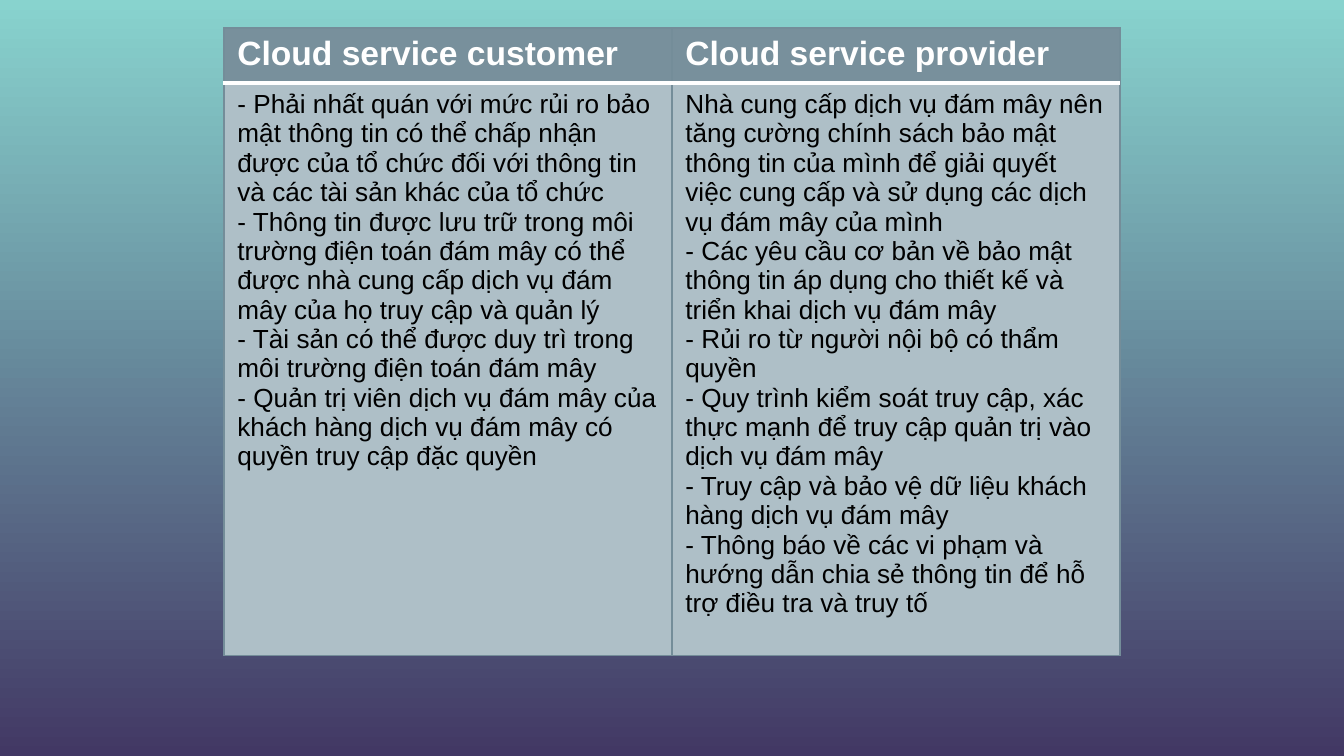
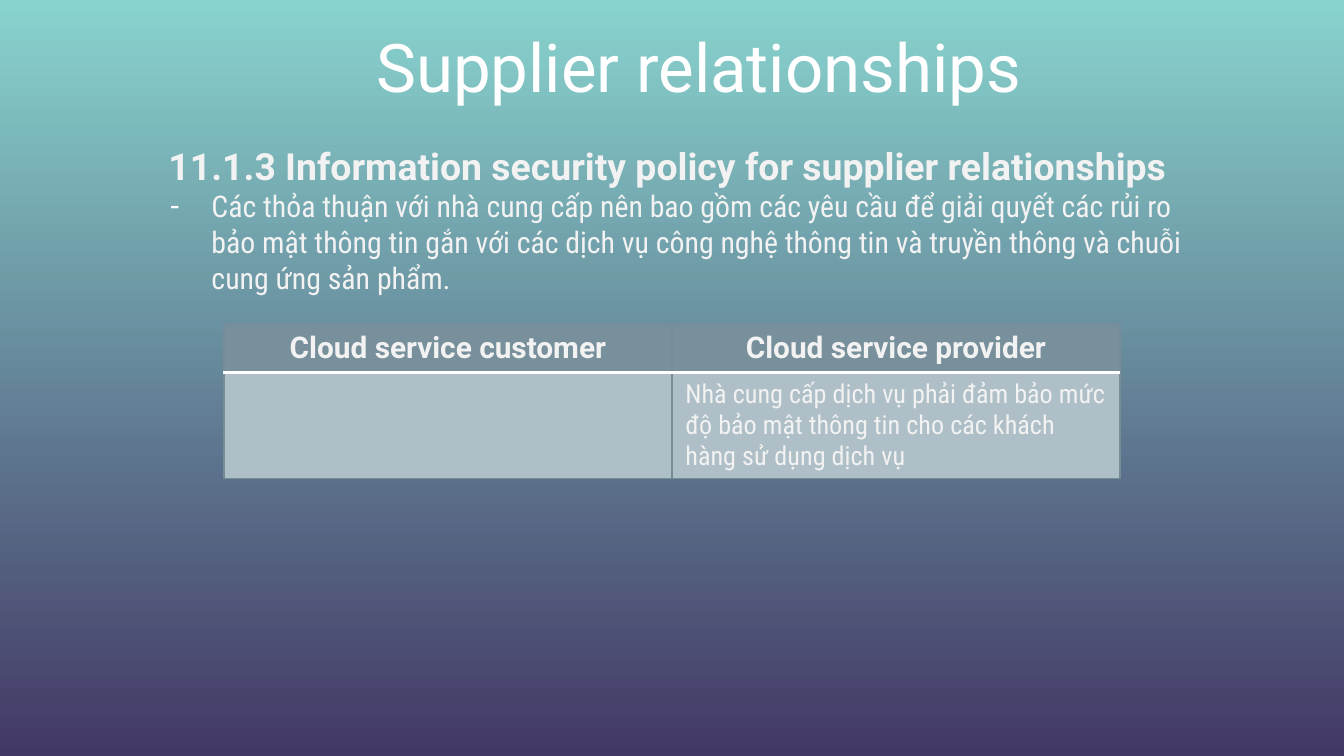
from lxml import etree
from pptx import Presentation
from pptx.dml.color import RGBColor
from pptx.enum.text import MSO_ANCHOR, MSO_AUTO_SIZE, PP_ALIGN
from pptx.oxml.ns import qn
from pptx.util import Inches, Pt

LEFT, CENTER = PP_ALIGN.LEFT, PP_ALIGN.CENTER
MIDDLE = MSO_ANCHOR.MIDDLE
NO_FIT = MSO_AUTO_SIZE.NONE
TITLE_LAYOUT, BLANK_LAYOUT = 0, 6
GRID_COLUMNS, GRID_ROWS = 12, 27
COLORS = {
    "sky": "88D3CE",
    "dusk": "423864",
    "white": "FFFFFF",
    "pale": "F2F2F2",
    "black": "000000",
    "header": "78909C",
    "cell": "AEBFC7",
    "border": "748D99",
}
HEADINGS = ["Cloud service customer", "Cloud service provider"]
CUSTOMER_POLICY = [
    "- Phải nhất quán với mức rủi ro bảo mật thông tin có thể chấp nhận được của tổ chức "
    "đối với thông tin và các tài sản khác của tổ chức",
    "- Thông tin được lưu trữ trong môi trường điện toán đám mây có thể được nhà cung cấp "
    "dịch vụ đám mây của họ truy cập và quản lý",
    "- Tài sản có thể được duy trì trong môi trường điện toán đám mây",
    "- Quản trị viên dịch vụ đám mây của khách hàng dịch vụ đám mây có quyền truy cập đặc quyền",
]
PROVIDER_POLICY = [
    "Nhà cung cấp dịch vụ đám mây nên tăng cường chính sách bảo mật thông tin của mình để "
    "giải quyết việc cung cấp và sử dụng các dịch vụ đám mây của mình",
    "- Các yêu cầu cơ bản về bảo mật thông tin áp dụng cho thiết kế và triển khai dịch vụ đám mây",
    "- Rủi ro từ người nội bộ có thẩm quyền",
    "- Quy trình kiểm soát truy cập, xác thực mạnh để truy cập quản trị vào dịch vụ đám mây",
    "- Truy cập và bảo vệ dữ liệu khách hàng dịch vụ đám mây",
    "- Thông báo về các vi phạm và hướng dẫn chia sẻ thông tin để hỗ trợ điều tra và truy tố",
]
SUPPLIER_AGREEMENTS = (
    "Các thỏa thuận với nhà cung cấp nên bao gồm các yêu cầu để giải quyết các rủi ro bảo mật "
    "thông tin gắn với các dịch vụ công nghệ thông tin và truyền thông và chuỗi cung ứng sản phẩm."
)
PROVIDER_DUTY = (
    "Nhà cung cấp dịch vụ phải đảm bảo mức độ bảo mật thông tin cho các khách hàng sử dụng dịch vụ"
)


def color(name):
    return RGBColor.from_string(COLORS[name])


def write(para, text, font, size, ink, bold=False, align=LEFT, margin=0, indent=0, bullet=None):
    """Fill one paragraph; margin and indent are in inches."""
    props = para._p.get_or_add_pPr()
    props.set("marL", str(Inches(margin)))
    props.set("indent", str(Inches(indent)))
    para.alignment = align
    para.space_before = para.space_after = Pt(0)
    if bullet:
        tint = etree.SubElement(props, qn("a:buClr"))
        etree.SubElement(tint, qn("a:srgbClr"), val=COLORS["white"])
        etree.SubElement(props, qn("a:buChar"), char=bullet)
    else:
        etree.SubElement(props, qn("a:buNone"))
    span = para.add_run()
    span.text = text
    span.font.name, span.font.size, span.font.bold = font, Pt(size), bold
    span.font.color.rgb = color(ink)


def write_all(frame, texts, **style):
    for index, text in enumerate(texts):
        para = frame.add_paragraph() if index else frame.paragraphs[0]
        write(para, text, **style)


def border(cell, edge, ink, width):
    line = etree.SubElement(cell._tc.get_or_add_tcPr(), qn(f"a:ln{edge}"), w=str(Pt(width)))
    fill = etree.SubElement(line, qn("a:solidFill"))
    etree.SubElement(fill, qn("a:srgbClr"), val=COLORS[ink])


class SlideBuilder:
    """Holds the deck's style and the slide being built, placed on a 12 by 27 grid."""

    def __init__(self):
        self.deck = Presentation()
        self.deck.slide_width = Inches(10)
        self.deck.slide_height = Inches(10) * 9 // 16
        self.page = None
        fill = self.deck.slide_master.background.fill
        fill.gradient()
        fill.gradient_angle = 270
        for stop, name in zip(fill.gradient_stops, ("sky", "dusk")):
            stop.color.rgb = color(name)

    def across(self, columns):
        return round(self.deck.slide_width * columns / GRID_COLUMNS)

    def down(self, rows):
        return round(self.deck.slide_height * rows / GRID_ROWS)

    def new_page(self, layout):
        self.page = self.deck.slides.add_slide(self.deck.slide_layouts[layout])

    def placeholder(self, index, left, top, width, height):
        """Move a template placeholder and return its text frame."""
        box = self.page.placeholders[index]
        box.left, box.top = self.across(left), self.down(top)
        box.width, box.height = self.across(width), self.down(height)
        frame = box.text_frame
        frame.word_wrap, frame.auto_size = True, NO_FIT
        frame.vertical_anchor = MIDDLE
        frame.margin_left = frame.margin_right = Inches(0.1)
        frame.margin_top = frame.margin_bottom = Inches(0.1)
        return frame

    def title(self, text):
        frame = self.placeholder(0, 0.87, 0.58, 10.74, 3.5)
        write(frame.paragraphs[0], text, font="Roboto", size=36, ink="white", align=CENTER)

    def body(self, heading, item):
        frame = self.placeholder(1, 1.24, 4.08, 9.53, 7.5)
        write(frame.paragraphs[0], heading, font="Roboto", size=20, ink="pale",
              bold=True, margin=0.12)
        write(frame.add_paragraph(), item, font="Roboto Condensed", size=16, ink="pale",
              margin=0.44, indent=-0.31, bullet="-")

    def comparison(self, top, heights, contents, heading_style, content_style):
        """Customer and provider side by side; contents has a list of paragraphs for each."""
        table = self.page.shapes.add_table(
            2, 2, self.across(2), self.down(top), self.across(8), self.down(sum(heights))).table
        table.horz_banding = False
        for row, height in zip(table.rows, heights):
            row.height = self.down(height)
        for column, (heading, texts) in enumerate(zip(HEADINGS, contents)):
            top_cell, low_cell = table.cell(0, column), table.cell(1, column)
            self.fill_cell(top_cell, [heading], "header", "B", heading_style)
            self.fill_cell(low_cell, texts, "cell", "T", content_style)

    def fill_cell(self, cell, texts, fill, divider, style):
        """The divider edge gets the thick white line below the headings."""
        for edge in "LRTB":
            ink, width = ("white", 2) if edge == divider else ("border", 0.75)
            border(cell, edge, ink, width)
        cell.fill.solid()
        cell.fill.fore_color.rgb = color(fill)
        write_all(cell.text_frame, texts, **style)


def main():
    builder = SlideBuilder()

    builder.new_page(BLANK_LAYOUT)
    builder.comparison(
        1, (1.97, 20.45), (CUSTOMER_POLICY, PROVIDER_POLICY),
        heading_style={"font": "Arial", "size": 18, "ink": "white", "bold": True},
        content_style={"font": "Arial", "size": 14, "ink": "black"})

    builder.new_page(TITLE_LAYOUT)
    builder.title("Supplier relationships")
    builder.body("11.1.3 Information security policy for supplier relationships",
                 SUPPLIER_AGREEMENTS)
    builder.comparison(
        11.57, (1.73, 3.79), ([], [PROVIDER_DUTY]),
        heading_style={"font": "Roboto", "size": 16, "ink": "pale", "bold": True,
                       "align": CENTER},
        content_style={"font": "Roboto Condensed", "size": 14, "ink": "pale"})

    builder.deck.save("out.pptx")


if __name__ == "__main__":
    main()
